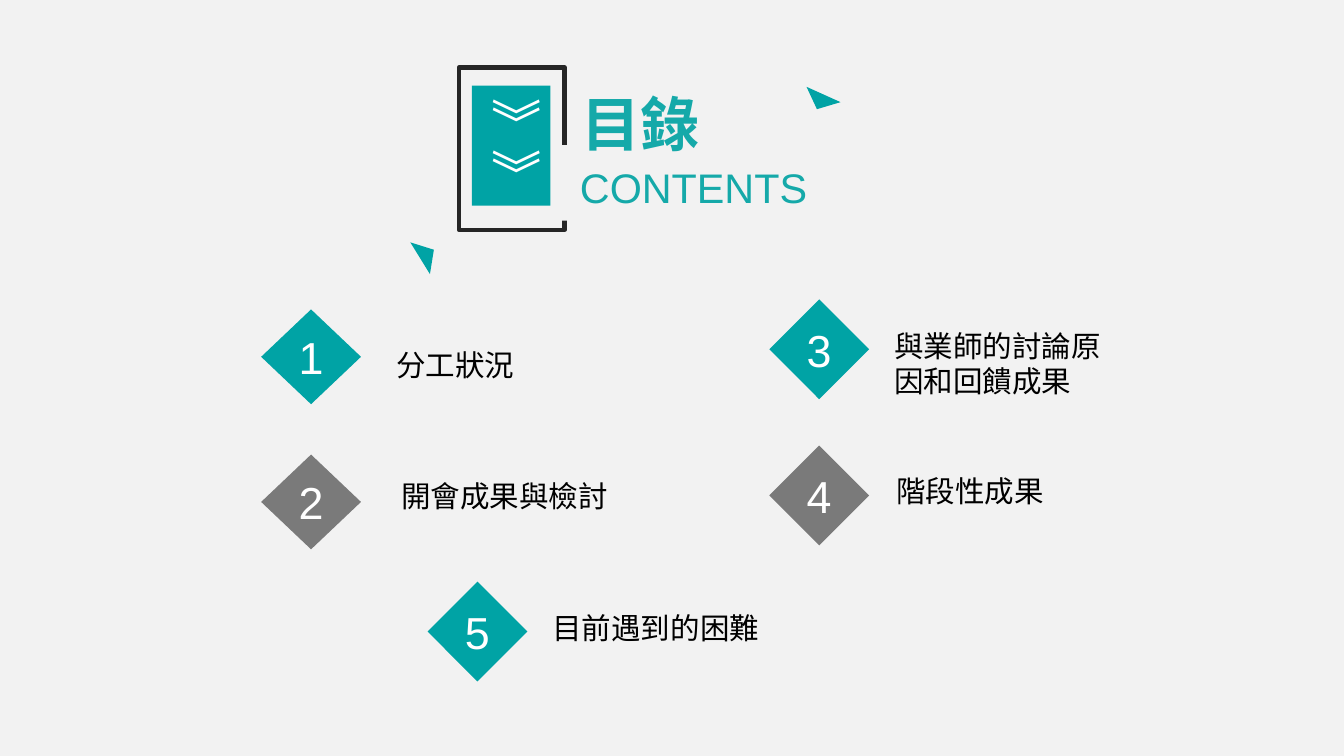
from pptx import Presentation
from pptx.dml.color import RGBColor
from pptx.enum.shapes import MSO_SHAPE as SHAPE
from pptx.enum.text import MSO_ANCHOR as ANCHOR, PP_ALIGN as ALIGN
from pptx.util import Inches, Pt

COLORS = {"back": "F2F2F2", "teal": "00A3A5", "title": "15A9A9",
          "gray": "7A7A7A", "frame": "262626", "white": "FFFFFF",
          "black": "000000"}


def rgb(name):
    return RGBColor.from_string(COLORS[name])


class ContentsSlide:
    font = "Arial"

    def __init__(self, prs):
        self.s = prs.slides.add_slide(prs.slide_layouts[6])
        fill = self.s.background.fill
        fill.solid()
        fill.fore_color.rgb = rgb("back")

    def shape(self, kind, box, fill=None, line=None, rotation=0):
        sp = self.s.shapes.add_shape(kind, *map(Inches, box))
        sp.shadow.inherit = False
        sp.rotation = rotation
        if fill:
            sp.fill.solid()
            sp.fill.fore_color.rgb = rgb(fill)
        else:
            sp.fill.background()
        if line:
            sp.line.color.rgb = rgb(line)
            sp.line.width = Pt(3)
        else:
            sp.line.fill.background()
        return sp

    def label(self, sp, text, size, color, align=None, bold=None):
        tf = sp.text_frame
        tf.word_wrap = True
        p = tf.paragraphs[0]
        p.alignment = align
        r = p.add_run()
        r.text = text
        style = {"name": self.font, "size": Pt(size), "bold": bold}
        for key, value in style.items():
            setattr(r.font, key, value)
        r.font.color.rgb = rgb(color)
        return tf

    def text(self, box, text, size, color="black", **style):
        sp = self.s.shapes.add_textbox(*map(Inches, box))
        return self.label(sp, text, size, color, **style)

    def item(self, number, diamond, text_box, text):
        fill = "teal" if number % 2 else "gray"
        sp = self.shape(SHAPE.DIAMOND, diamond, fill)
        tf = self.label(sp, str(number), 32, "white", align=ALIGN.CENTER)
        tf.vertical_anchor = ANCHOR.MIDDLE
        self.text(text_box, text, 21.1)


def main():
    prs = Presentation()
    prs.slide_width, prs.slide_height = Inches(13.33), Inches(7.5)
    s = ContentsSlide(prs)

    # Numbered topics: diamond box, text box, wording
    topics = [
        ((2.59, 3.07, 0.99, 0.94), (3.83, 3.39, 3.29, 0.46), "分工狀況"),
        ((2.59, 4.51, 0.99, 0.94), (3.88, 4.69, 2.45, 0.46), "開會成果與檢討"),
        ((7.63, 2.97, 0.99, 0.99), (8.77, 3.2, 2.45, 0.81),
         "與業師的討論原因和回饋成果"),
        ((7.63, 4.42, 0.99, 0.99), (8.79, 4.64, 2.44, 0.46), "階段性成果"),
        ((4.24, 5.77, 0.99, 0.99), (5.38, 6, 2.45, 0.46), "目前遇到的困難"),
    ]
    for number, topic in enumerate(topics, 1):
        s.item(number, *topic)

    # Open frame with the teal panel and its vertical chevrons
    s.shape(SHAPE.RECTANGLE, (4.55, 0.67, 1.05, 1.61), line="frame")
    s.shape(SHAPE.RECTANGLE, (5.57, 1.44, 1.12, 0.75), "back")
    s.shape(SHAPE.RECTANGLE, (4.68, 0.85, 0.78, 1.19), "teal")
    tf = s.text((4.65, 0.88, 0.81, 2.14), "》》", 36, "white")
    tf._txBody.bodyPr.set("vert", "eaVert")

    # Heading
    s.text((5.67, 0.82, 2.4, 0.81), "目錄", 42.2, "title",
           align=ALIGN.JUSTIFY, bold=True)
    s.text((5.13, 1.56, 3.5, 0.6), "CONTENTS", 29.5, "title",
           align=ALIGN.CENTER)

    # Loose triangles
    for left, top, rotation in [(4.05, 2.44, 58.3), (7.95, 0.93, 204.2)]:
        s.shape(SHAPE.ISOSCELES_TRIANGLE, (left, top, 0.37, 0.16), "teal",
                rotation=rotation)

    prs.save("out.pptx")


if __name__ == "__main__":
    main()
